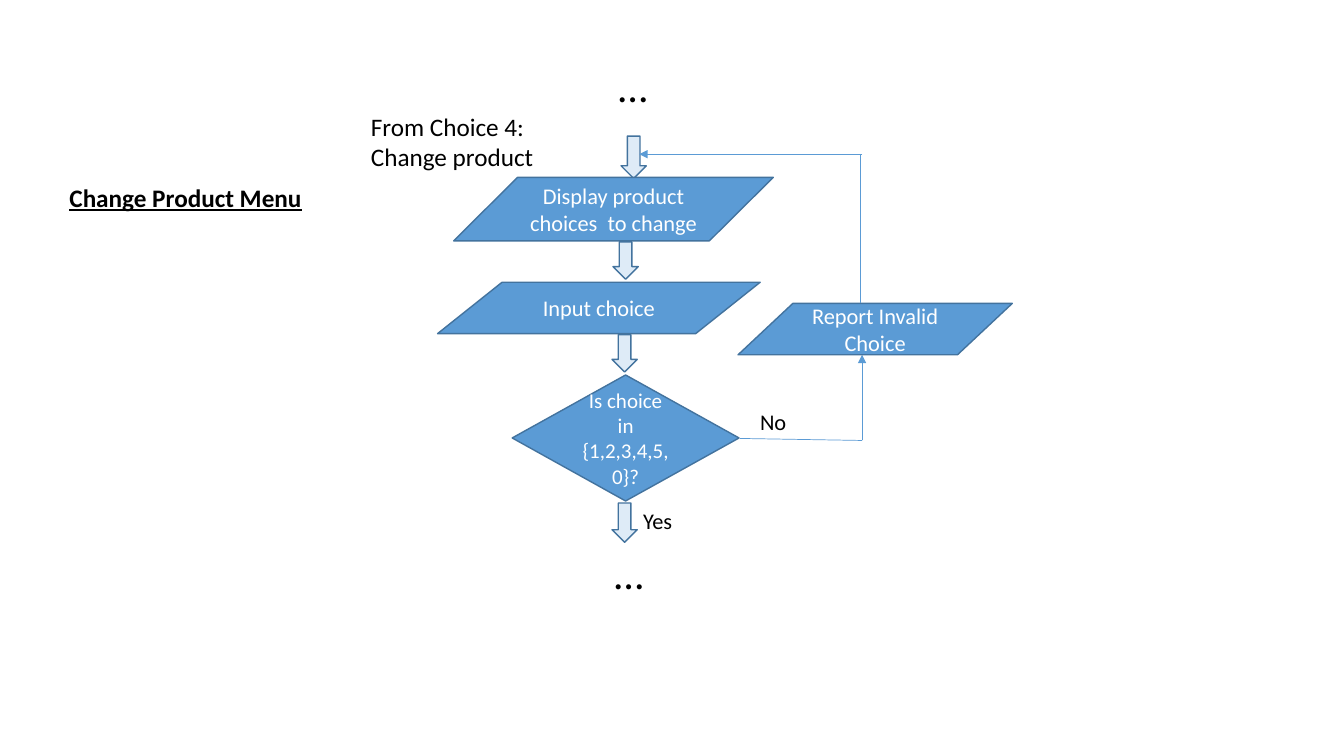
from pptx import Presentation
from pptx.dml.color import RGBColor
from pptx.enum import shapes, text
from pptx.oxml import ns
from pptx.util import Inches, Pt
from lxml import etree

BLUE = RGBColor(0x5B, 0x9B, 0xD5)
PALE = RGBColor(0xDE, 0xEB, 0xF7)
EDGE = RGBColor(0x43, 0x73, 0x9E)
WHITE = RGBColor(0xFF, 0xFF, 0xFF)
BLACK = RGBColor(0, 0, 0)
FONT = "Calibri"
INPUT_OUTPUT = shapes.MSO_SHAPE.FLOWCHART_DATA
DECISION = shapes.MSO_SHAPE.FLOWCHART_DECISION


def write(frame, words, size, color):
    frame.word_wrap = True
    frame.text = words
    para = frame.paragraphs[0]
    span = para.runs[0]
    span.font.name = FONT
    span.font.size = Pt(size)
    span.font.color.rgb = color
    return para, span


def add_label(page, box, words, size=16):
    label = page.shapes.add_textbox(*map(Inches, box))
    label.text_frame.auto_size = text.MSO_AUTO_SIZE.SHAPE_TO_FIT_TEXT
    return write(label.text_frame, words, size, BLACK)[1]


def add_block(page, kind, box, fill):
    block = page.shapes.add_shape(kind, *map(Inches, box))
    block.shadow.inherit = False
    block.fill.solid()
    block.fill.fore_color.rgb = fill
    block.line.color.rgb = EDGE
    block.line.width = Pt(1)
    return block


def add_step(page, kind, box, words, size=16):
    step = add_block(page, kind, box, BLUE)
    step.text_frame.vertical_anchor = text.MSO_ANCHOR.MIDDLE
    para, _ = write(step.text_frame, words, size, WHITE)
    para.alignment = text.PP_ALIGN.CENTER


def add_link(page, start, end, arrow=False):
    link = page.shapes.add_connector(
        shapes.MSO_CONNECTOR.STRAIGHT, *map(Inches, start + end))
    link.line.color.rgb = BLUE
    link.line.width = Pt(0.5)
    if arrow:
        line = link.line._get_or_add_ln()
        etree.SubElement(line, ns.qn("a:tailEnd"), type="triangle")
    etree.SubElement(link._element.spPr, ns.qn("a:effectLst"))


def add_headings(page, left, top):
    title = add_label(page, (left, top + 0.71, 2.55, 0.4), "Change Product Menu", 18)
    title.font.bold = True
    title.font.underline = True
    add_label(page, (left + 2.99, top, 2.18, 0.71), "From Choice 4: Change product", 18)


def add_main_flow(page, left, top):
    for x, y, width in ((1.6, 0, 0.84), (1.56, 4.83, 0.61)):
        add_label(page, (left + x, top + y, width, 0.61), " …", 30)

    for x, y, height in ((1.82, 0.8, 0.42), (1.74, 1.85, 0.37),
                         (1.73, 2.77, 0.37), (1.73, 4.44, 0.39)):
        add_block(page, shapes.MSO_SHAPE.DOWN_ARROW,
                  (left + x, top + y, 0.25, height), PALE)

    steps = (
        (INPUT_OUTPUT, 0.16, 1.21, 3.17, 0.63, "Display product choices  to change", 16),
        (INPUT_OUTPUT, 0, 2.25, 3.2, 0.51, "Input choice", 16),
        (DECISION, 0.74, 3.17, 2.25, 1.25, "Is choice in {1,2,3,4,5,0}?", 15),
    )
    for kind, x, y, width, height, words, size in steps:
        add_step(page, kind, (left + x, top + y, width, height), words, size)

    add_label(page, (left + 1.94, top + 4.43, 2.23, 0.37), "Yes")


def add_invalid_loop(page, left, top):
    corner = (left + 1.23, top + 2.84)
    add_label(page, (left + 0.12, top + 2.47, 0.57, 0.37), "No")
    add_link(page, (left + 0.02, top + 2.82), corner)
    add_link(page, corner, (left + 1.23, top + 1.99), arrow=True)
    add_step(page, INPUT_OUTPUT, (left, top + 1.48, 2.72, 0.51), "Report Invalid Choice")
    add_link(page, (left + 1.21, top + 1.48), (left + 1.21, top))
    add_link(page, (left + 1.23, top), (left - 0.98, top), arrow=True)


deck = Presentation()
deck.slide_width = Inches(13.33)
deck.slide_height = Inches(7.5)
page = deck.slides.add_slide(deck.slide_layouts[6])
add_main_flow(page, 4.34, 0.55)
add_invalid_loop(page, 7.32, 1.53)
add_headings(page, 0.59, 1.05)
deck.save("out.pptx")
